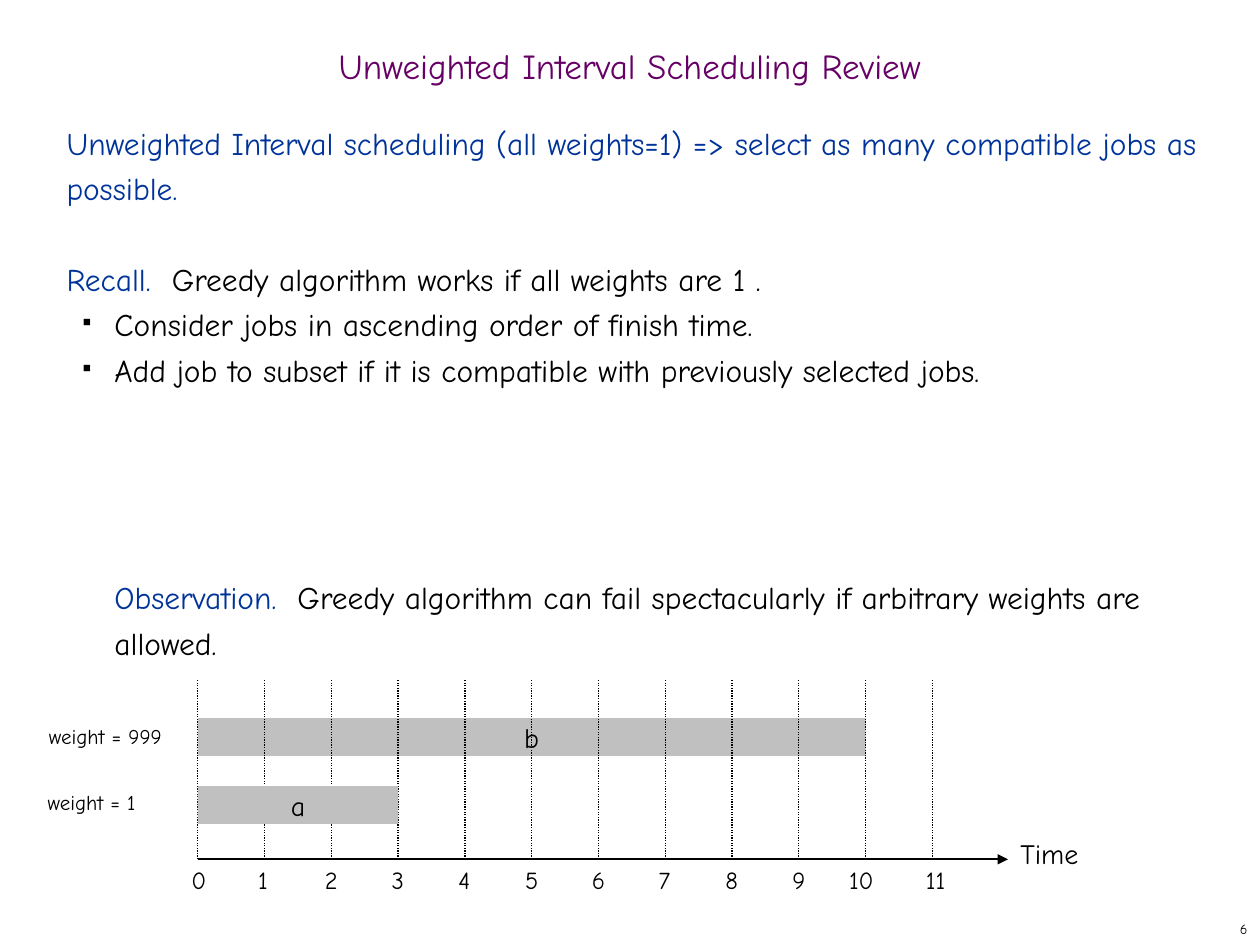
import pptx
import pptx.util
import pptx.dml.color
import pptx.enum.dml
import pptx.enum.shapes
import pptx.enum.text
import pptx.oxml.ns
import lxml.etree

Inches = pptx.util.Inches
Pt = pptx.util.Pt
RGBColor = pptx.dml.color.RGBColor
ALIGN = pptx.enum.text.PP_ALIGN
ANCHOR = pptx.enum.text.MSO_ANCHOR
qn = pptx.oxml.ns.qn

FONT = "Comic Neue"
BLACK = RGBColor(0x00, 0x00, 0x00)
PURPLE = RGBColor(0x66, 0x00, 0x66)
BLUE = RGBColor(0x00, 0x33, 0x99)
GRAY = RGBColor(0xC0, 0xC0, 0xC0)

ZERO = 1.57    # x of time 0
STEP = 0.53    # width of one time unit
AXIS = 6.82    # y of the time axis

deck = pptx.Presentation()
deck.slide_width, deck.slide_height = Inches(10), Inches(7.5)
slide = deck.slides.add_slide(deck.slide_layouts[6])
shapes = slide.shapes


def write(shape, runs, size, align=ALIGN.LEFT, anchor=ANCHOR.TOP, wrap=True, new=False):
    """Put (text, colour) runs in the first paragraph, or in a new one."""
    frame = shape.text_frame
    frame.word_wrap = wrap
    frame.vertical_anchor = anchor
    para = frame.add_paragraph() if new else frame.paragraphs[0]
    para.alignment = align
    for text, color in runs:
        run = para.add_run()
        run.text = text
        run.font.name = FONT
        run.font.size = Pt(size)
        run.font.color.rgb = color
    return para


def draw_line(x1, y1, x2, y2, width):
    line = shapes.add_connector(pptx.enum.shapes.MSO_CONNECTOR.STRAIGHT,
                                Inches(x1), Inches(y1), Inches(x2), Inches(y2))
    line.line.color.rgb = BLACK
    line.line.width = Pt(width)
    lxml.etree.SubElement(line._element.spPr, qn("a:effectLst"))
    return line


# Page number and title
page = shapes.add_textbox(Inches(7.92), Inches(7.25), Inches(2.08), Inches(0.25))
write(page, [("6", BLACK)], 8, ALIGN.RIGHT, ANCHOR.MIDDLE, wrap=False)
title = shapes.add_textbox(Inches(0), Inches(0.31), Inches(10), Inches(0.5))
para = write(title, [("Unweighted Interval Scheduling Review", PURPLE)], 20,
             ALIGN.CENTER, ANCHOR.MIDDLE)
para.line_spacing = 0.7

# Body: runs, space before, left margin, bullet
body = shapes.add_textbox(Inches(0.43), Inches(0.87), Inches(9.27), Inches(5.92))
items = [
    ([("Unweighted Interval scheduling (all weights=1) => select as many "
       "compatible jobs as possible.", BLUE)], 0, 0, False),
    ([("Recall.  ", BLUE),
      ("Greedy algorithm works if all weights are 1 .", BLACK)], 26, 0, False),
    ([("Consider jobs in ascending order of finish time.", BLACK)], 0, 0.38, True),
    ([("Add job to subset if it is compatible with previously selected jobs.",
       BLACK)], 0, 0.38, True),
    ([("Observation.  ", BLUE),
      ("Greedy algorithm can fail spectacularly if arbitrary weights are allowed.",
       BLACK)], 104, 0.38, False),
]
for index, (runs, gap, margin, bullet) in enumerate(items):
    para = write(body, runs, 18, new=index > 0)
    para.line_spacing = Pt(26)
    para.space_before = Pt(gap)
    props = para._p.get_or_add_pPr()
    props.set("marL", str(Inches(margin)))
    props.set("indent", str(Inches(-0.25 if bullet else 0)))
    if bullet:
        color = lxml.etree.SubElement(props, qn("a:buClr"))
        lxml.etree.SubElement(color, qn("a:srgbClr"), val=str(BLACK))
        lxml.etree.SubElement(props, qn("a:buSzPct"), val="35000")
        lxml.etree.SubElement(props, qn("a:buChar"), char="■")

# Time axis
axis = draw_line(ZERO, AXIS, 8, AXIS, 1.25)
lxml.etree.SubElement(axis.line._get_or_add_ln(), qn("a:tailEnd"), type="triangle")
label = shapes.add_textbox(Inches(8), Inches(6.59), Inches(0.83), Inches(0.37))
write(label, [("Time", BLACK)], 16)

# Job b lies behind the grid, job a in front of it
jobs = {}
for name, top, length in [("b", 5.7, 10), ("a", 6.24, 3)]:
    job = shapes.add_shape(pptx.enum.shapes.MSO_SHAPE.RECTANGLE, Inches(ZERO),
                           Inches(top), Inches(length * STEP), Inches(0.3))
    job.shadow.inherit = False
    job.fill.solid()
    job.fill.fore_color.rgb = GRAY
    job.line.fill.background()
    write(job, [(name, BLACK)], 16, ALIGN.CENTER, ANCHOR.MIDDLE, wrap=False)
    jobs[name] = job

for time in range(12):
    x = ZERO + time * STEP
    grid = draw_line(x, AXIS, x, 5.39, 0.75)
    grid.line.dash_style = pptx.enum.dml.MSO_LINE.ROUND_DOT
    shift = 0.23 if time == 10 else 0.15
    tick = shapes.add_textbox(Inches(x - shift), Inches(AXIS), Inches(0.46), Inches(0.33))
    write(tick, [(str(time), BLACK)], 14)
shapes._spTree.append(jobs["a"]._element)

for text, left, top, width in [("weight = 999", 0.29, 5.69, 1.1),
                               ("weight = 1", 0.28, 6.22, 0.9)]:
    weight = shapes.add_textbox(Inches(left), Inches(top), Inches(width), Inches(0.3))
    write(weight, [(text, BLACK)], 12, wrap=False)

deck.save("out.pptx")
